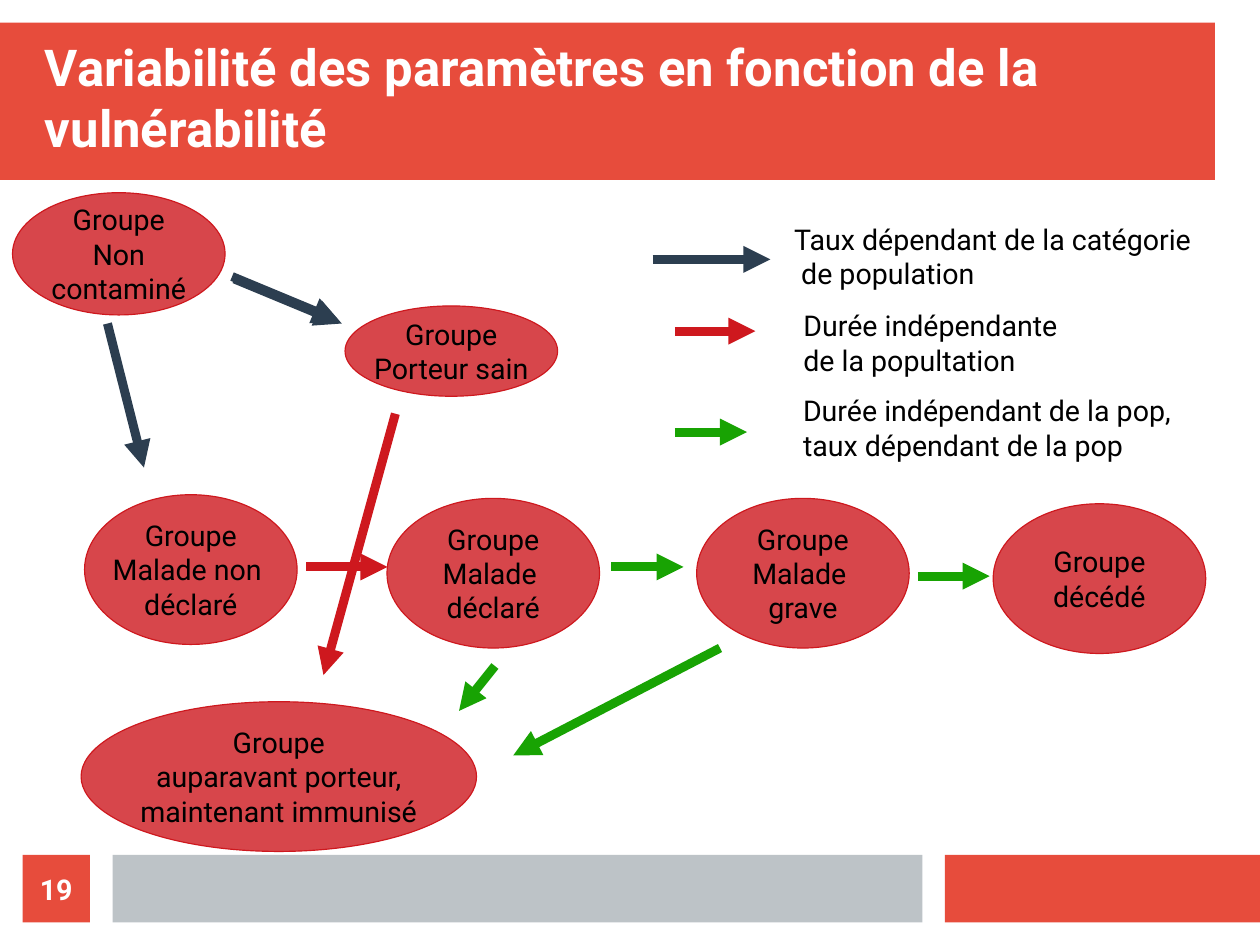
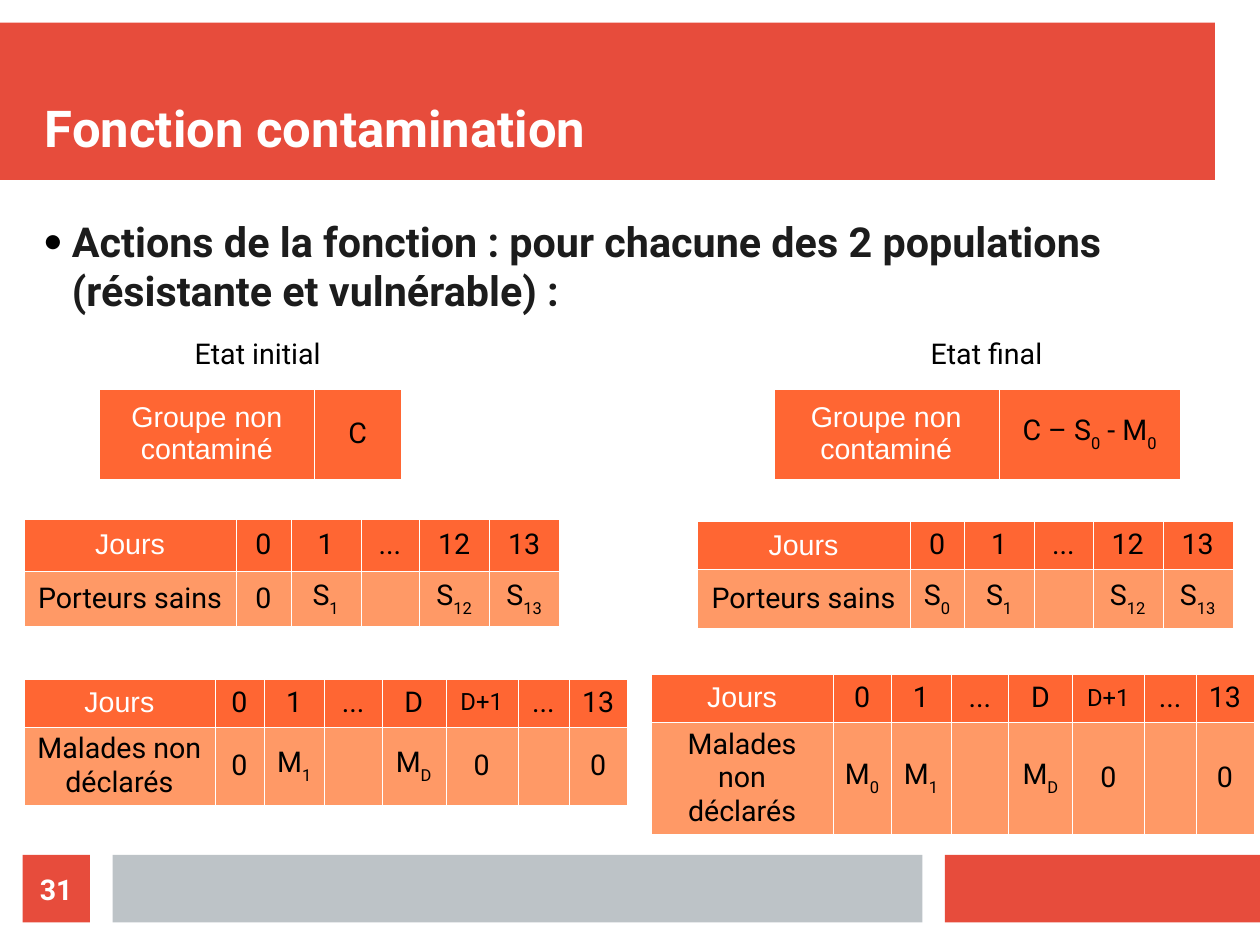
from lxml.etree import SubElement
from pptx import Presentation
from pptx.dml.color import RGBColor
from pptx.enum.shapes import MSO_CONNECTOR, MSO_SHAPE
from pptx.enum.text import MSO_ANCHOR, MSO_AUTO_SIZE, PP_ALIGN
from pptx.oxml.ns import qn
from pptx.util import Pt

CORAL = RGBColor(0xE7, 0x4C, 0x3C)
SILVER = RGBColor(0xBD, 0xC3, 0xC7)
WHITE = RGBColor(0xFF, 0xFF, 0xFF)
BLACK = RGBColor(0, 0, 0)
CHARCOAL = RGBColor(0x1C, 0x1C, 0x1C)
RED = RGBColor(0xCE, 0x18, 0x1E)
NAVY = RGBColor(0x2C, 0x3E, 0x50)
GREEN = RGBColor(0x18, 0xA3, 0x03)
ORANGE = RGBColor(0xFF, 0x66, 0x33)
PEACH = RGBColor(0xFF, 0x99, 0x66)

SLIDE_SIZE = (793.75, 595.25)
FOOTER_TOP, FOOTER_HEIGHT = 538.5, 42.5
BANDS = [
    ((0, 14.2, 765.4, 99.2), CORAL),
    ((595.3, FOOTER_TOP, 198.4, FOOTER_HEIGHT), CORAL),
    ((70.9, FOOTER_TOP, 510.2, FOOTER_HEIGHT), SILVER),
]
TITLE_BOX = (28.3, 28.3, 737, 70.9)
NUMBER_BOX = (14.2, FOOTER_TOP, FOOTER_HEIGHT, FOOTER_HEIGHT)

GROUP_WIDTH, GROUP_HEIGHT = 133.9, 94.3
GROUPS = [
    ("Groupe\nNon\ncontaminé", (7.9, 121.4, GROUP_WIDTH, 77)),
    ("Groupe\nPorteur sain", (217.4, 192.7, GROUP_WIDTH, 56.9)),
    ("Groupe\nMalade non \ndéclaré", (53.3, 311.6, GROUP_WIDTH, GROUP_HEIGHT)),
    ("Groupe\nMalade \ndéclaré", (243.8, 313.9, GROUP_WIDTH, GROUP_HEIGHT)),
    ("Groupe\nauparavant porteur,\nmaintenant immunisé", (51.1, 442, GROUP_WIDTH + 115.2, GROUP_HEIGHT)),
    ("Groupe\nMalade \ngrave", (438.9, 313.9, GROUP_WIDTH, GROUP_HEIGHT)),
    ("Groupe\ndécédé", (625.7, 317.3, GROUP_WIDTH, GROUP_HEIGHT)),
]
LEGENDS = [
    ("Taux dépendant de la catégorie\n de population", (493.2, 136.1, 289.4, 74.9)),
    ("Durée indépendante\nde la popultation", (499, 190.6, 193, 56.9)),
    ("Durée indépendant de la pop,\ntaux dépendant de la pop", (498.8, 244.1, 277.9, 56.9)),
]
ARROWS = {
    NAVY: [
        (147.6, 175.7, 215.3, 203.8),
        (146.2, 174.2, 213.8, 202.3),
        (67.7, 203.8, 90.7, 294.5),
        (411.1, 163.4, 485.3, 163.4),
    ],
    RED: [
        (425.2, 208.6, 475.9, 208.6),
        (193, 357.1, 244.1, 357.1),
        (249.1, 260.6, 203.8, 425.2),
    ],
    GREEN: [
        (385.2, 357.1, 430.6, 357.1),
        (425.2, 272.2, 470.6, 272.2),
        (311.8, 419.5, 289.2, 447.8),
        (578.2, 362.9, 623.5, 362.9),
        (453.6, 408.2, 323.3, 475.9),
    ],
}

ACTIONS = "Actions de la fonction : pour chacune des 2 populations (résistante et vulnérable) :"
ACTIONS_BOX = (28.3, 136.1, 722.8, 368.6)
STATES = [("Etat initial", 51.1), ("Etat final", 510.2)]
CARRIER_COLUMNS = [134, 34.2, 44.1, 36.9, 44.1, 44.1]
SICK_DAY_COLUMNS = [38.2, 36, 40.3, 45.4, 32.4, 36.7]
CARRIER_DAYS = ["Jours", "0", "1", "...", "12", "13"]
SICK_DAYS = ["Jours", "0", "1", "...", "D", "D+1", "...", "13"]
SMALL_LABEL = "D+1"
TABLES = [
    ((62.6, 244.8), [135.4, 54.7], [56.9], [["Groupe non contaminé", "C"]]),
    ((487.4, 244.8), [141.8, 114.5], [56.9], [["Groupe non contaminé", "C – S|0| - M|0"]]),
    ((14.9, 326.7), CARRIER_COLUMNS, [33.1, 34.6],
     [CARRIER_DAYS, ["Porteurs sains", "0", "S|1", "", "S|12", "S|13"]]),
    ((439.2, 328.3), CARRIER_COLUMNS, [30.2, 37.4],
     [CARRIER_DAYS, ["Porteurs sains", "S|0", "S|1", "", "S|12", "S|13"]]),
    ((15.1, 427.5), [120.2, 31] + SICK_DAY_COLUMNS, [30.2, 47.5],
     [SICK_DAYS, ["Malades non déclarés", "0", "M|1", "", "M|D", "0", "", "0"]]),
    ((409.9, 424.6), [115.2, 36] + SICK_DAY_COLUMNS, [30.2, 67.7],
     [SICK_DAYS, ["Malades non déclarés", "M|0", "M|1", "", "M|D", "0", "", "0"]]),
]


def points(values):
    return [Pt(value) for value in values]


def write(frame, text, size=18, color=BLACK, font="Roboto", bold=False, align=PP_ALIGN.LEFT,
          anchor=MSO_ANCHOR.TOP, margins=(7.2, 3.6), wrap=True):
    frame.auto_size = MSO_AUTO_SIZE.NONE
    frame.word_wrap = wrap
    frame.vertical_anchor = anchor
    frame.margin_left = frame.margin_right = Pt(margins[0])
    frame.margin_top = frame.margin_bottom = Pt(margins[1])
    write_lines(frame, text, size, color, font, bold, align)


def write_lines(frame, text, size=18, color=BLACK, font="Roboto", bold=False,
                align=PP_ALIGN.CENTER):
    for index, line in enumerate(text.split("\n")):
        paragraph = frame.add_paragraph() if index else frame.paragraphs[0]
        paragraph.alignment = align
        for part, words in enumerate(line.split("|")):
            if not words:
                continue
            run = paragraph.add_run()
            run.text = words
            run.font.size = Pt(size)
            run.font.name = font
            run.font.bold = bold
            run.font.color.rgb = color
            if part % 2:
                run.font._element.set("baseline", "-33000")


def add_filled(slide, kind, box, color):
    shape = slide.shapes.add_shape(kind, *points(box))
    shape.shadow.inherit = False
    shape.fill.solid()
    shape.fill.fore_color.rgb = color
    shape.line.fill.background()
    return shape


def add_label(slide, text, box, **style):
    label = slide.shapes.add_textbox(*points(box))
    write(label.text_frame, text, **style)
    return label


def add_page(deck, title, number):
    slide = deck.slides.add_slide(deck.slide_layouts[5])
    heading = slide.shapes.title
    heading.left, heading.top, heading.width, heading.height = points(TITLE_BOX)
    write(heading.text_frame, title, size=32, color=WHITE, bold=True,
          anchor=MSO_ANCHOR.BOTTOM, margins=(0, 0))
    badge = add_filled(slide, MSO_SHAPE.RECTANGLE, NUMBER_BOX, CORAL)
    write(badge.text_frame, number, color=WHITE, bold=True, align=PP_ALIGN.CENTER,
          anchor=MSO_ANCHOR.MIDDLE, margins=(0, 0))
    return slide


def share_bands(slide):
    for box, color in BANDS:
        band = add_filled(slide, MSO_SHAPE.RECTANGLE, box, color)
        slide.slide_layout.shapes.element.insert(2, band.element)


def add_group(slide, text, box):
    group = add_filled(slide, MSO_SHAPE.OVAL, box, RED)
    fill_color = group.element.spPr.find(qn("a:solidFill"))[0]
    SubElement(fill_color, qn("a:alpha"), val="80000")
    group.line.color.rgb = RED
    group.line.width = Pt(0)
    write(group.text_frame, text, align=PP_ALIGN.CENTER, anchor=MSO_ANCHOR.MIDDLE, wrap=False)


def add_arrow(slide, ends, color):
    arrow = slide.shapes.add_connector(MSO_CONNECTOR.STRAIGHT, *points(ends))
    arrow.line.color.rgb = color
    arrow.line.width = Pt(5.67)
    SubElement(arrow.line._get_or_add_ln(), qn("a:tailEnd"), type="triangle")
    SubElement(arrow.element.spPr, qn("a:effectLst"))


def add_bullet(paragraph):
    properties = paragraph._p.get_or_add_pPr()
    properties.set("marL", str(Pt(17)))
    properties.set("indent", str(Pt(-17)))
    bullet_color = SubElement(properties, qn("a:buClr"))
    SubElement(bullet_color, qn("a:srgbClr"), val=str(BLACK))
    SubElement(properties, qn("a:buSzPct"), val="45000")
    SubElement(properties, qn("a:buFont"), typeface="Roboto")
    SubElement(properties, qn("a:buChar"), char="●")


def fill_cell(cell, text, is_header, is_label):
    properties = cell._tc.get_or_add_tcPr()
    for side in ("a:lnL", "a:lnR", "a:lnT", "a:lnB"):
        border = SubElement(properties, qn(side), w=str(Pt(0.06)))
        border_fill = SubElement(border, qn("a:solidFill"))
        SubElement(border_fill, qn("a:srgbClr"), val=str(WHITE))
    cell.fill.solid()
    cell.fill.fore_color.rgb = ORANGE if is_header else PEACH
    cell.vertical_anchor = MSO_ANCHOR.MIDDLE
    cell.margin_left = cell.margin_right = Pt(7.2)
    cell.margin_top = cell.margin_bottom = Pt(3.6)
    if text:
        heading = is_header and is_label
        write_lines(cell.text_frame, text, size=15 if text == SMALL_LABEL else 18,
                    color=WHITE if heading else BLACK, font="Arial" if heading else "Roboto")


def add_grid(slide, corner, widths, heights, rows):
    box = points((*corner, sum(widths), sum(heights)))
    table = slide.shapes.add_table(len(heights), len(widths), *box).table
    table.first_row = table.horz_banding = False
    for column, width in zip(table.columns, widths):
        column.width = Pt(width)
    for r, (height, texts) in enumerate(zip(heights, rows)):
        table.rows[r].height = Pt(height)
        for c, text in enumerate(texts):
            fill_cell(table.cell(r, c), text, r == 0, c == 0)


def main():
    deck = Presentation()
    deck.slide_width, deck.slide_height = points(SLIDE_SIZE)

    parameters = add_page(deck, "Variabilité des paramètres en fonction de la vulnérabilité", "19")
    share_bands(parameters)
    for text, box in GROUPS:
        add_group(parameters, text, box)
    for text, box in LEGENDS:
        add_label(parameters, text, box)
    for color, arrows in ARROWS.items():
        for ends in arrows:
            add_arrow(parameters, ends, color)

    contamination = add_page(deck, "Fonction contamination", "31")
    actions = add_label(contamination, ACTIONS, ACTIONS_BOX, size=26, color=CHARCOAL,
                        bold=True, margins=(0, 0))
    add_bullet(actions.text_frame.paragraphs[0])
    for state, left in STATES:
        add_label(contamination, state, (left, 208.1, 222.5, 31.7), align=PP_ALIGN.CENTER)
    for table in TABLES:
        add_grid(contamination, *table)

    deck.save("out.pptx")


if __name__ == "__main__":
    main()
